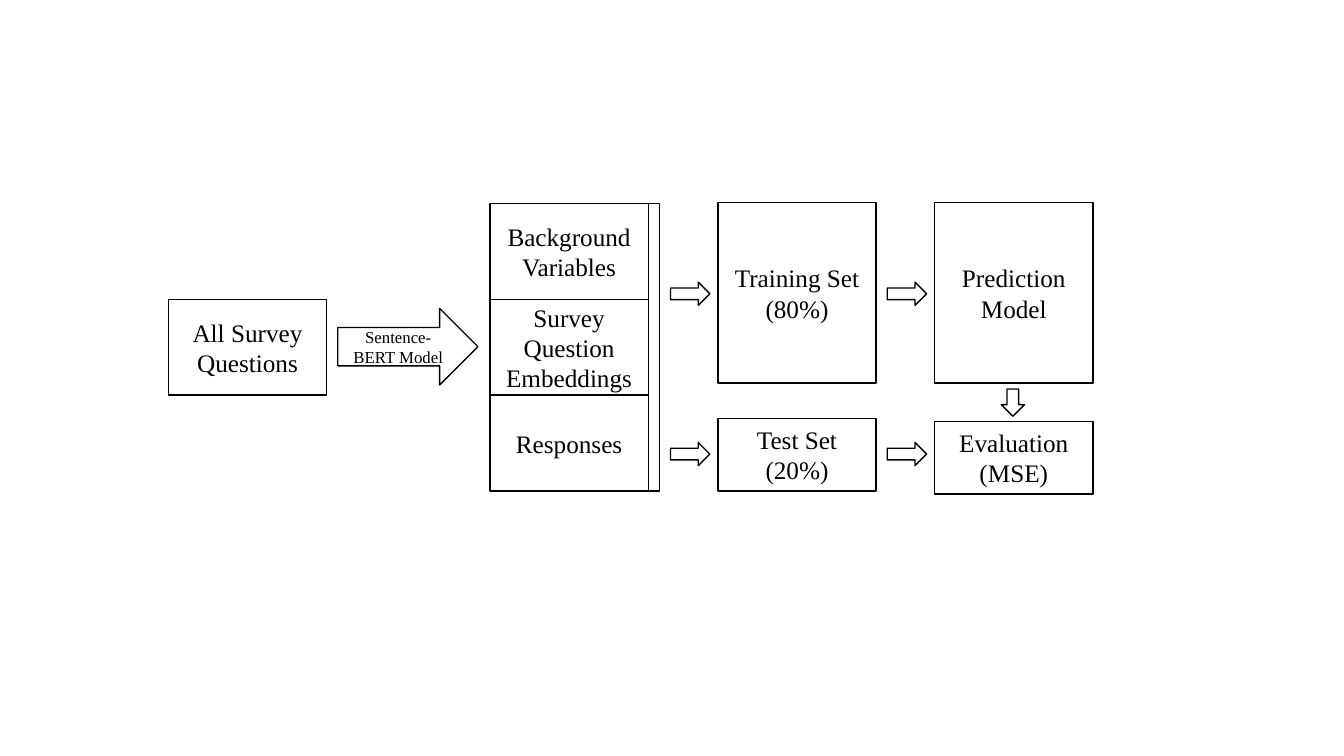
from pptx import Presentation
from pptx.dml.color import RGBColor
from pptx.enum import shapes, text
from pptx.util import Inches, Pt

COLORS = {"ink": "000000"}
FONT = "Times New Roman"
BOX_W, ROW_H = 1.57, 0.95
SET_H, TEST_H = 1.79, 0.72
TOP = 2.02
DATA_X, TRAIN_X, MODEL_X = 4.86, 7.12, 9.27
RECT = shapes.MSO_SHAPE.RECTANGLE
ARROW = shapes.MSO_SHAPE.RIGHT_ARROW


def add_outline(s, kind, x, y, w, h, label="", size=18):
    """Add an unfilled, black-edged shape with an optional centred label."""
    sp = s.shapes.add_shape(kind, Inches(x), Inches(y), Inches(w), Inches(h))
    ink = RGBColor.from_string(COLORS["ink"])
    sp.shadow.inherit = False
    sp.fill.background()
    sp.line.color.rgb = ink
    sp.line.width = Pt(1)
    if label:
        tf = sp.text_frame
        tf.word_wrap = True
        tf.vertical_anchor = text.MSO_ANCHOR.MIDDLE
        p = tf.paragraphs[0]
        p.text = label
        p.alignment = text.PP_ALIGN.CENTER
        p.font.name = FONT
        p.font.size = Pt(size)
        p.font.color.rgb = ink
    return sp


def add_box(s, x, y, h, label):
    return add_outline(s, RECT, x, y, BOX_W, h, label)


def add_arrow(s, x, y, w=0.39, rotation=0):
    sp = add_outline(s, ARROW, x, y, w, 0.23)
    sp.rotation = rotation


def main():
    prs = Presentation()
    prs.slide_width, prs.slide_height = Inches(13.33), Inches(7.5)
    s = prs.slides.add_slide(prs.slide_layouts[6])

    # Survey questions and the stacked data blocks
    add_box(s, 1.67, TOP + ROW_H, ROW_H, "All Survey Questions")
    blocks = ["Background Variables", "Survey Question Embeddings", "Responses"]
    for i, label in enumerate(blocks):
        add_box(s, DATA_X, TOP + i * ROW_H, ROW_H, label)
    add_outline(s, RECT, DATA_X + BOX_W, TOP, 0.11, len(blocks) * ROW_H)

    # Data split, model and evaluation
    add_box(s, TRAIN_X, 2.01, SET_H, "Training Set (80%)")
    add_box(s, TRAIN_X, 4.15, TEST_H, "Test Set (20%)")
    add_box(s, MODEL_X, 2.01, SET_H, "Prediction Model")
    add_box(s, MODEL_X, 4.18, TEST_H, "Evaluation (MSE)")

    # Flow arrows
    add_outline(s, ARROW, 3.35, 3.06, 1.39, 0.76, "Sentence-BERT Model", 12)
    for x in (6.65, 8.8):
        for y in (2.8, 4.39):
            add_arrow(s, x, y)
    add_arrow(s, 9.91, 3.88, w=0.27, rotation=90)

    prs.save("out.pptx")


main()
